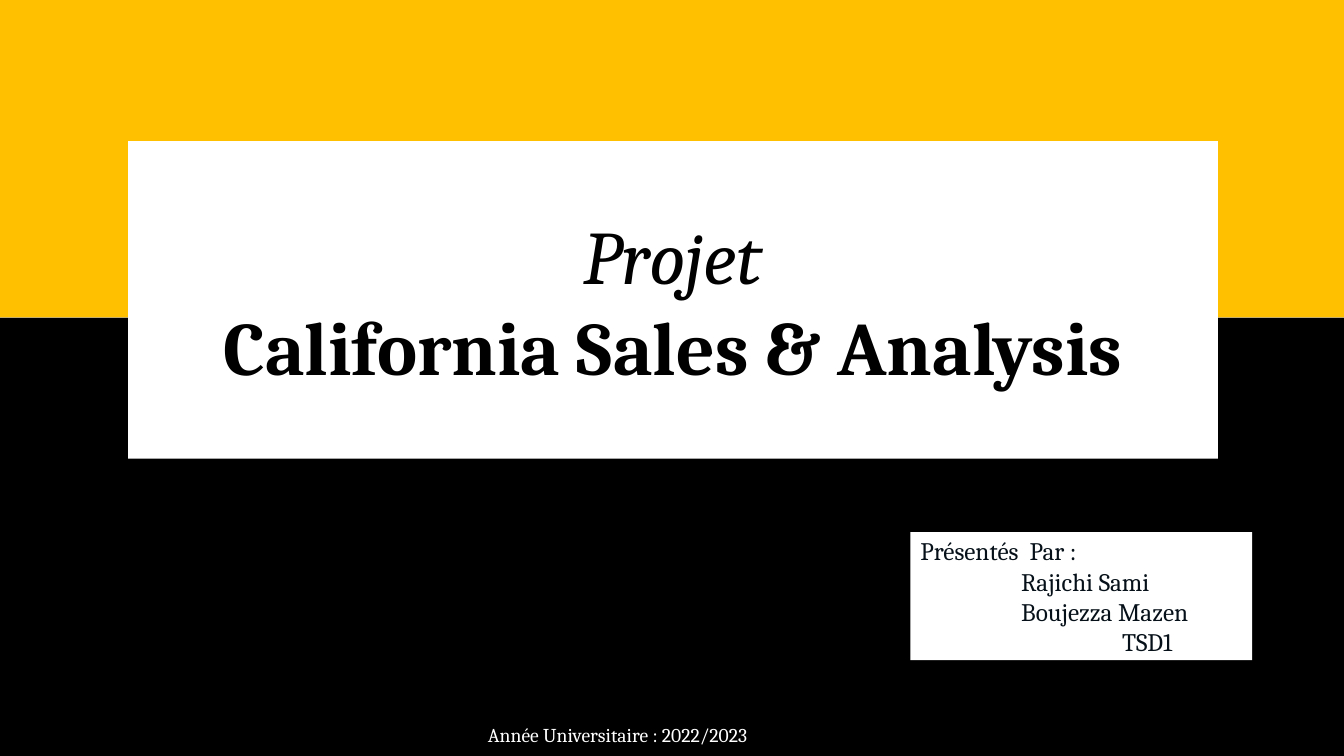
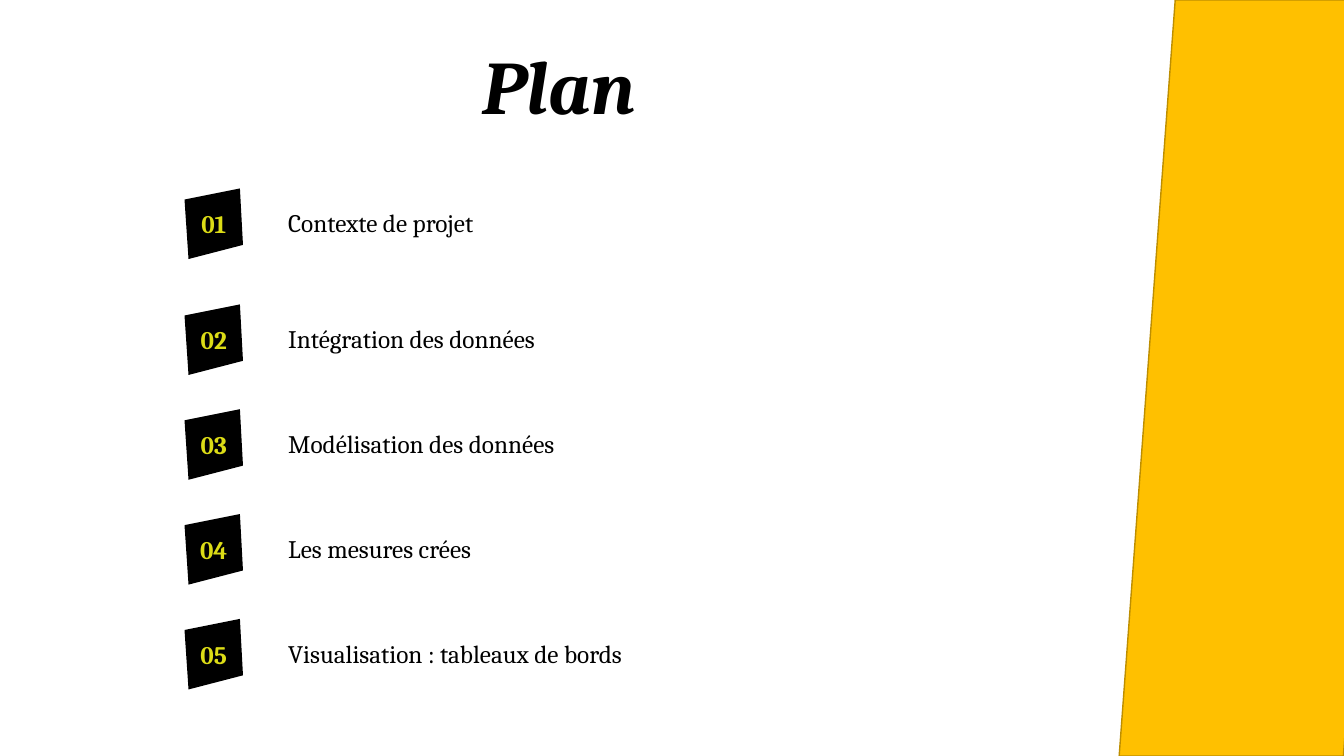
from dataclasses import dataclass

from pptx import Presentation
from pptx.dml.color import RGBColor
from pptx.enum.shapes import MSO_SHAPE
from pptx.enum.text import MSO_ANCHOR, MSO_AUTO_SIZE, PP_ALIGN
from pptx.util import Inches, Pt

COLORS = {
    "black": "000000",
    "white": "FFFFFF",
    "amber": "FFC000",
    "amber_edge": "BD8E00",
    "ink": "061018",
    "lime": "DCDC16",
}
FONT = "Cambria"
HEADING = {"size": Pt(54), "bold": True, "italic": False}
BODY = {"size": Pt(18), "bold": False, "italic": False}
SLIDE_W, SLIDE_H = 13.33, 7.5


@dataclass(frozen=True)
class Box:
    left: float
    top: float
    width: float
    height: float

    def lengths(self) -> tuple:
        return tuple(Inches(v) for v in (self.left, self.top, self.width, self.height))


@dataclass(frozen=True)
class Line:
    text: str
    style: dict
    color: str = "black"
    align: PP_ALIGN = PP_ALIGN.LEFT
    indent: float = 0


@dataclass(frozen=True)
class PlanItem:
    number: str
    label: str
    top: float


def rgb(name: str) -> RGBColor:
    return RGBColor.from_string(COLORS[name])


def paint(shape, fill: str, edge: str | None = None) -> None:
    shape.shadow.inherit = False
    shape.fill.solid()
    shape.fill.fore_color.rgb = rgb(fill)
    if edge:
        shape.line.color.rgb = rgb(edge)
        shape.line.width = Pt(1)
    else:
        shape.line.fill.background()


def write(shape, lines: list[Line], anchor=MSO_ANCHOR.TOP, wrap: bool = True) -> None:
    frame = shape.text_frame
    frame_format = {
        "word_wrap": wrap,
        "auto_size": MSO_AUTO_SIZE.NONE,
        "vertical_anchor": anchor,
    }
    for name, value in frame_format.items():
        setattr(frame, name, value)
    for index, line in enumerate(lines):
        paragraph = frame.add_paragraph() if index else frame.paragraphs[0]
        paragraph.alignment = line.align
        if line.indent:
            properties = paragraph._p.get_or_add_pPr()
            properties.set("marL", str(Inches(line.indent)))
            properties.set("indent", "0")
        run = paragraph.add_run()
        run.text = line.text
        for name, value in {"name": FONT, **line.style}.items():
            setattr(run.font, name, value)
        run.font.color.rgb = rgb(line.color)


def add_panel(slide, box: Box, fill: str, edge: str | None = None,
              outline=MSO_SHAPE.RECTANGLE):
    panel = slide.shapes.add_shape(outline, *box.lengths())
    paint(panel, fill, edge)
    return panel


def add_label(slide, box: Box, line: Line) -> None:
    write(slide.shapes.add_textbox(*box.lengths()), [line])


def place_title(slide, box: Box, lines: list[Line], anchor=MSO_ANCHOR.MIDDLE):
    title = slide.shapes.title
    title.left, title.top, title.width, title.height = box.lengths()
    write(title, lines, anchor)
    # Bring the title in front of the shapes drawn so far
    title.element.getparent().append(title.element)
    return title


def add_badge(slide, item: PlanItem) -> None:
    # Tilted square: corners as x position and offset from the row top
    corners = [(1.83, 0.05), (2.38, -0.06), (2.41, 0.5), (1.87, 0.64)]
    points = [(Inches(x), Inches(item.top + y)) for x, y in corners]
    builder = slide.shapes.build_freeform(*points[0], scale=1.0)
    builder.add_line_segments(points[1:], close=True)
    badge = builder.convert_to_shape()
    paint(badge, "black")
    for side in ("left", "right", "top", "bottom"):
        setattr(badge.text_frame, f"margin_{side}", 0)
    number = Line(item.number, {**BODY, "bold": True}, "lime", PP_ALIGN.CENTER)
    write(badge, [number], MSO_ANCHOR.MIDDLE, wrap=False)


def build_cover(slide) -> None:
    # Background bands
    horizon = 3.15
    add_panel(slide, Box(0, horizon, SLIDE_W, SLIDE_H - horizon), "black")
    add_panel(slide, Box(0, 0, SLIDE_W, horizon), "amber")

    # Title card
    title_card = place_title(slide, Box(1.27, 1.4, 10.81, 3.15), [
        Line("Projet", {**HEADING, "bold": False, "italic": True}, align=PP_ALIGN.CENTER),
        Line("California Sales & Analysis", HEADING, align=PP_ALIGN.CENTER),
    ])
    paint(title_card, "white")

    # Presenters
    presenters = add_panel(slide, Box(9.03, 5.28, 3.39, 1.27), "white")
    credits = [("Présentés  Par :", 0), ("Rajichi Sami", 1),
               ("Boujezza Mazen", 1), ("TSD1", 2)]
    write(presenters, [Line(text, BODY, "ink", indent=indent) for text, indent in credits],
          MSO_ANCHOR.MIDDLE)

    # Academic year
    add_label(slide, Box(4.74, 7.12, 3.51, 0.34),
              Line("Année Universitaire : 2022/2023", {**BODY, "size": Pt(14)}, "white"))


def build_plan(slide) -> None:
    # Slanted side band
    add_panel(slide, Box(11.1, 0, 2.78, SLIDE_H), "amber", "amber_edge",
              MSO_SHAPE.FLOWCHART_DATA)
    place_title(slide, Box(4.69, 0.34, 3.96, 1.01),
                [Line("Plan", {**HEADING, "italic": True})], MSO_ANCHOR.TOP)

    # Numbered agenda: the first row stands apart, the rest are evenly spaced
    first_top, second_top, pitch = 1.93, 3.08, 1.04
    labels = ["Contexte de projet", "Intégration des données", "Modélisation des données",
              "Les mesures crées", "Visualisation : tableaux de bords"]
    for index, label in enumerate(labels):
        top = second_top + (index - 1) * pitch if index else first_top
        item = PlanItem(f"{index + 1:02d}", label, top)
        add_badge(slide, item)
        add_label(slide, Box(2.76, item.top + 0.08, 6.95, 0.4), Line(item.label, BODY))


def main() -> None:
    deck = Presentation()
    deck.slide_width, deck.slide_height = Inches(SLIDE_W), Inches(SLIDE_H)
    title_only = deck.slide_layouts[5]
    for build in (build_cover, build_plan):
        build(deck.slides.add_slide(title_only))
    deck.save("out.pptx")


if __name__ == "__main__":
    main()
